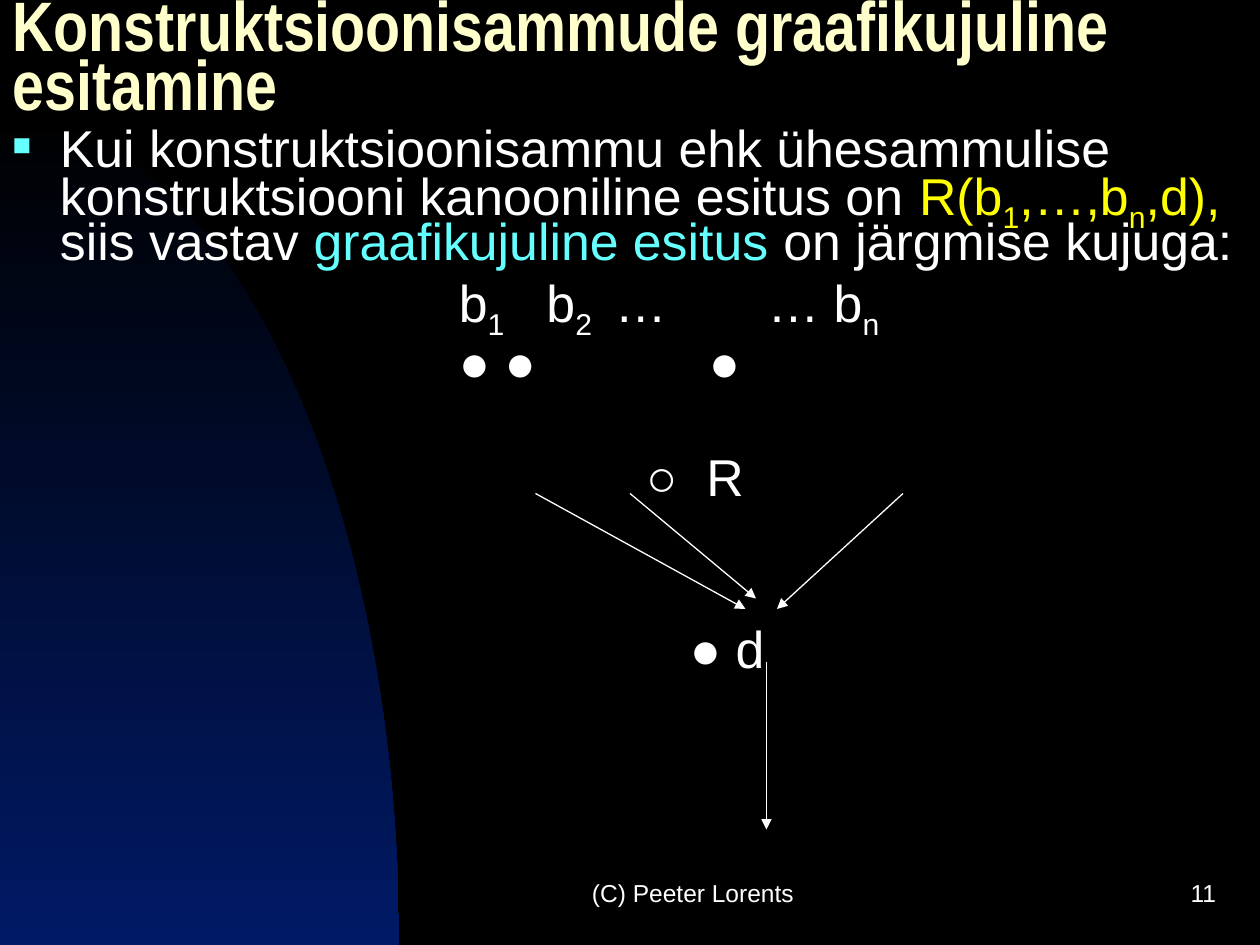
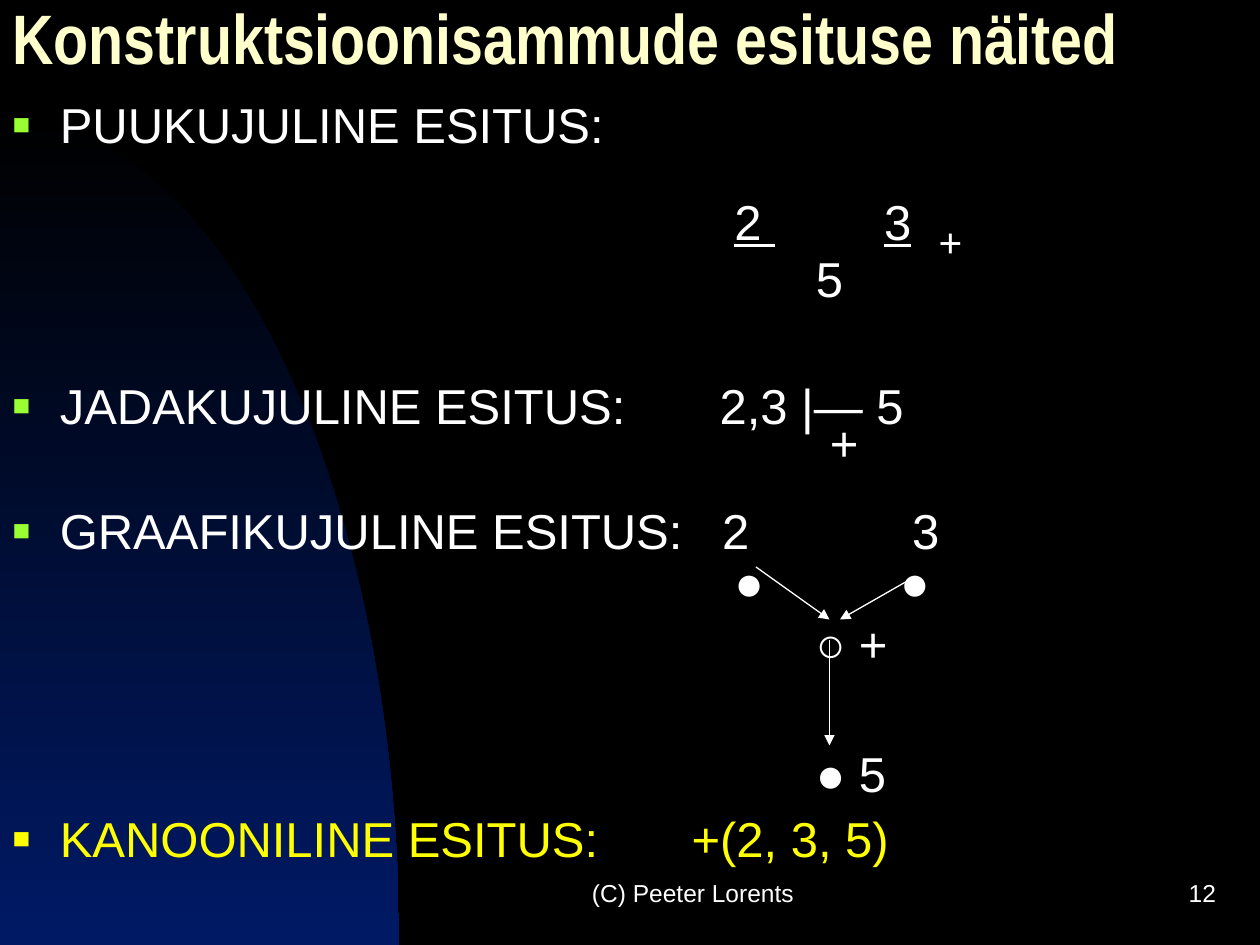
"""Two slides on the graph form of construction steps."""
from lxml import etree
from pptx import Presentation
from pptx.dml.color import RGBColor
from pptx.enum import shapes, text
from pptx.oxml.ns import qn
from pptx.util import Pt

BLACK = RGBColor(0, 0, 0)
BLUE = RGBColor(0x00, 0x33, 0xCC)
WHITE = RGBColor(0xFF, 0xFF, 0xFF)
CREAM = RGBColor(0xFF, 0xFF, 0xCC)
CYAN = RGBColor(0x66, 0xFF, 0xFF)
GREEN = RGBColor(0x99, 0xFF, 0x33)
YELLOW = RGBColor(0xFF, 0xFF, 0x00)

FOOT = "(C) Peeter Lorents"
HANG = 27
SPACE = 0.278
SUB = {"sub": True}
GOLD = {"ink": YELLOW}
GOLDSUB = {"ink": YELLOW, "sub": True}
LINE = {"line": True}


def gap(width, **look):
    """Return a single space stretched to a width."""
    return " ", {"wide": width, **look}


STEPS = [
    {"title": "Konstruktsioonisammude graafikujuline esitamine",
     "number": 11, "split": 72, "foot": 474, "size": 29.6,
     "lead": 0.7, "before": 8,
     "rows": [
         {"bullet": CYAN, "runs": [
             ("Kui konstruktsioonisammu ehk ühesammulise konstruktsiooni "
              "kanooniline esitus on ", {}),
             ("R(b", GOLD), ("1", GOLDSUB), (",…,b", GOLD),
             ("n", GOLDSUB), (",d),", GOLD), (" siis vastav ", {}),
             ("graafikujuline esitus", {"ink": CYAN}),
             (" on järgmise kujuga:", {})]},
         {"left": 255, "runs": [
             ("b", {}), ("1", SUB), gap(24), ("b", {}), ("2", SUB),
             gap(13), ("…", {}), gap(57.6), ("… b", {}), ("n", SUB)]},
         {"left": 255, "runs": [("● ●", {}), gap(98.8), ("●", {})]},
         {"left": 362, "before": 41,
          "runs": [("○", {}), gap(16.5), ("R", {})]},
         {"left": 387, "before": 73.3, "runs": [("● d", {})]},
     ],
     "arrows": [(306, 282, 426, 348), (360, 282, 432, 342),
                (516, 282, 444, 348), (438, 378, 438, 474)]},
    {"title": "Konstruktsioonisammude esituse näited",
     "number": 12, "split": 54, "foot": 498, "size": 28,
     "lead": 0.9, "before": 7,
     "rows": [
         {"bullet": GREEN, "runs": [("PUUKUJULINE ESITUS:", {})]},
         {"left": 412.5, "before": 10, "runs": [
             ("2", LINE), gap(70, line=True), ("3", LINE), gap(15.6),
             ("+", {"size": 40, "sub": True})]},
         {"left": 459, "lead": 0.6, "runs": [("5", {})]},
         {"bullet": GREEN, "tabs": [404], "before": 44.1,
          "runs": [("JADAKUJULINE ESITUS:\t2,3 |— 5", {})]},
         {"left": 467, "lead": 0.3, "runs": [("+", {})]},
         {"bullet": GREEN, "tabs": [405.5, 514], "before": 24.1,
          "runs": [("GRAAFIKUJULINE ESITUS:\t2\t3", {})]},
         {"left": 412.5, "lead": 0.6,
          "runs": [("●", {}), gap(77.8), ("●", {})]},
         {"left": 459, "runs": [("○ +", {})]},
         {"left": 459, "before": 44.1, "runs": [("● 5", {})]},
         {"bullet": YELLOW, "tabs": [388],
          "runs": [("KANOONILINE ESITUS:\t+(2, 3, 5)", GOLD)]},
     ],
     "arrows": [(432, 324, 474, 354), (522, 330, 480, 354),
                (474, 366, 474, 426)]},
]


def add(node, tag, **attrs):
    """Append a child element with the given attributes."""
    part = etree.SubElement(node, qn(tag))
    for key, value in attrs.items():
        part.set(key, str(value))
    return part


def place(shape, left, top, width, height):
    """Move and size a shape."""
    shape.left, shape.top = Pt(left), Pt(top)
    shape.width, shape.height = Pt(width), Pt(height)


def style(run, size, ink=WHITE, face="Arial", bold=False, sub=False,
          line=False, wide=0):
    """Format one run."""
    font = run.font
    font.name, font.size, font.bold = face, Pt(size), bold
    font.color.rgb = ink
    props = run._r.get_or_add_rPr()
    if line:
        font.underline = True
    if sub:
        props.set("baseline", "-25000")
    if wide:
        props.set("spc", str(round(100 * (wide - SPACE * size))))


def frame(shape, anchor):
    """Return the text frame, wrapped and anchored without autofit."""
    box = shape.text_frame
    box.word_wrap = True
    box.auto_size = text.MSO_AUTO_SIZE.NONE
    box.vertical_anchor = anchor
    return box


def mark(para, bullet=None, tabs=(), left=0):
    """Set indent, bullet and tab stops of a paragraph."""
    props = para._p.get_or_add_pPr()
    hang = HANG if bullet else 0
    props.set("marL", str(Pt(left + hang)))
    props.set("indent", str(-Pt(hang)))
    if bullet:
        add(add(props, "a:buClr"), "a:srgbClr", val=bullet)
        add(props, "a:buSzPct", val=60000)
        add(props, "a:buFont", typeface="Arial")
        add(props, "a:buChar", char="■")
    else:
        add(props, "a:buNone")
    if tabs:
        stops = add(props, "a:tabLst")
        for pos in tabs:
            add(stops, "a:tab", pos=Pt(pos), algn="l")


def fill_body(shape, step):
    """Write the rows of a step into the body placeholder."""
    box = frame(shape, text.MSO_ANCHOR.TOP)
    for i, row in enumerate(step["rows"]):
        para = box.add_paragraph() if i else box.paragraphs[0]
        para.line_spacing = row.get("lead", step["lead"])
        para.space_before = Pt(row.get("before", step["before"]))
        para.space_after = Pt(0)
        mark(para, row.get("bullet"), row.get("tabs"), row.get("left", 0))
        for words, look in row["runs"]:
            run = para.add_run()
            run.text = words
            style(run, **{"size": step["size"], **look})


def label(shape, words, align, **look):
    """Write one line of text, centred in height."""
    box = frame(shape, text.MSO_ANCHOR.MIDDLE)
    box.text = words
    para = box.paragraphs[0]
    para.alignment = align
    style(para.runs[0], **look)
    return para


def back(slide):
    """Draw the black ground and the blue arc behind everything."""
    slide.background.fill.solid()
    slide.background.fill.fore_color.rgb = BLACK
    arc = slide.shapes.add_shape(shapes.MSO_SHAPE.OVAL, Pt(-228), Pt(66),
                                 Pt(456), Pt(948))
    arc.shadow.inherit = False
    arc.line.fill.background()
    arc.fill.gradient()
    arc.fill.gradient_angle = 270
    for stop, ink in zip(arc.fill.gradient_stops, (BLACK, BLUE)):
        stop.color.rgb = ink
    slide.shapes.title.element.addprevious(arc.element)


def arrow(slide, ends):
    """Draw a thin white arrow."""
    link = slide.shapes.add_connector(shapes.MSO_CONNECTOR.STRAIGHT,
                                      *map(Pt, ends))
    link.line.color.rgb = WHITE
    link.line.width = Pt(0.75)
    add(link.line._get_or_add_ln(), "a:tailEnd", type="triangle")
    add(link.element.spPr, "a:effectLst")


def build(deck, step):
    """Add one slide."""
    slide = deck.slides.add_slide(deck.slide_layouts[1])
    back(slide)
    title, body = slide.shapes.title, slide.placeholders[1]
    split = step["split"]
    place(title, 0, 0, 720, split)
    label(title, step["title"], text.PP_ALIGN.LEFT, size=40, ink=CREAM,
          face="Arial Narrow", bold=True).line_spacing = 0.7
    place(body, 0, split, 720, step["foot"] - split)
    fill_body(body, step)
    for ends in step["arrows"]:
        arrow(slide, ends)
    for words, left, width, align in (
            (FOOT, 282, 228, text.PP_ALIGN.CENTER),
            (str(step["number"]), 552, 150, text.PP_ALIGN.RIGHT)):
        note = slide.shapes.add_textbox(Pt(left), Pt(492), Pt(width), Pt(36))
        label(note, words, align, size=14)


def main():
    """Build and save the deck."""
    deck = Presentation()
    deck.slide_width, deck.slide_height = Pt(720), Pt(540)
    for step in STEPS:
        build(deck, step)
    deck.save("out.pptx")


if __name__ == "__main__":
    main()
